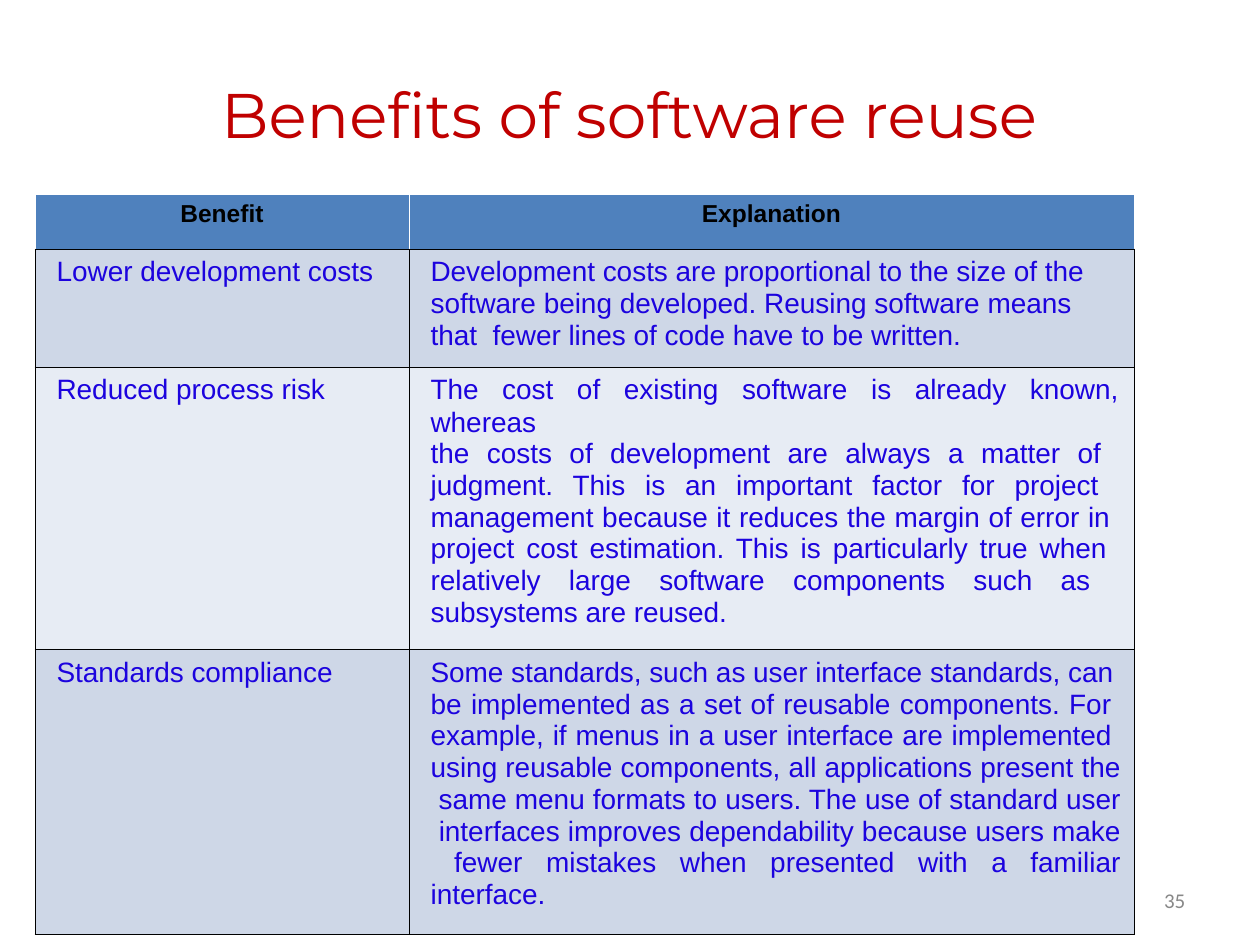
from lxml.etree import SubElement
from pptx import Presentation
from pptx.dml.color import RGBColor
from pptx.enum.text import PP_ALIGN as Align
from pptx.oxml.ns import qn
from pptx.util import Emu, Pt

EMU_PER_PX = 914400 / 126
SLIDE_SIZE = (1260, 945)

RED = RGBColor(0xC0, 0x00, 0x00)
GRAY = RGBColor(0x88, 0x88, 0x88)
BLACK = RGBColor(0x00, 0x00, 0x00)
WHITE = RGBColor(0xFF, 0xFF, 0xFF)
BLUE = RGBColor(0x1C, 0x03, 0xDE)
HEADER_FILL = RGBColor(0x4F, 0x81, 0xBD)
BAND_FILLS = (RGBColor(0xCE, 0xD7, 0xE7), RGBColor(0xE7, 0xEC, 0xF4))

TITLE = "Benefits of software reuse"
PAGE_NUMBER = "35"
HEADERS = ("Benefit", "Explanation")
# Benefit, paragraphs of its explanation, alignment and right inset of the explanation
BENEFITS = [
    ("Lower development costs",
     ["Development costs are proportional to the size of the",
      "software being developed. Reusing software means that  fewer lines of "
      "code have to be written."],
     Align.LEFT, 13),
    ("Reduced process risk",
     ["The cost of existing software is already known, whereas",
      "the costs of development are always a matter of  judgment. This is an "
      "important factor for project  management because it reduces the margin "
      "of error in  project cost estimation. This is particularly true when  "
      "relatively large software components such as  subsystems are reused."],
     Align.JUSTIFY, 15),
    ("Standards compliance",
     ["Some standards, such as user interface standards, can",
      "be implemented as a set of reusable components. For  example, if menus "
      "in a user interface are implemented  using reusable components, all "
      "applications present the  same menu formats to users. The use of "
      "standard user  interfaces improves dependability because users make  "
      "fewer mistakes when presented with a familiar interface."],
     Align.JUSTIFY, 13),
]

TABLE_LEFT, TABLE_TOP = 35, 194
COLUMN_WIDTHS = (374, 725)
ROW_HEIGHTS = (55, 118, 262, 262)
TEXT_INDENT = 9
CELL_INSET = 13
BORDER_WIDTH = Pt(0.45)
FIRST_LINE, OTHER_LINES = Pt(18.5), 1.02


def px(length):
    return Emu(round(length * EMU_PER_PX))


def add_run(paragraph, text, size, font, color, bold=False):
    run = paragraph.add_run()
    run.text = text
    run.font.size = Pt(size)
    run.font.name = font
    run.font.bold = bold
    run.font.color.rgb = color


def indent(paragraph, left):
    properties = paragraph._p.get_or_add_pPr()
    properties.set("marL", str(px(left)))
    properties.set("indent", "0")


def add_text(slide, box, text, size, font, color, align=Align.LEFT,
             top_inset=0, left=0, line_spacing=None):
    shape = slide.shapes.add_textbox(*map(px, box))
    frame = shape.text_frame
    frame.word_wrap = True
    frame.margin_left = frame.margin_right = frame.margin_bottom = 0
    frame.margin_top = px(top_inset)
    paragraph = frame.paragraphs[0]
    indent(paragraph, left)
    paragraph.alignment = align
    paragraph.line_spacing = line_spacing
    add_run(paragraph, text, size, font, color)


def style_cell(cell, fill, side_color, bottom_color=BLACK):
    """Set the cell's fill and borders; the left, right and top share a colour."""
    properties = cell._tc.get_or_add_tcPr()
    colors = {"L": side_color, "R": side_color, "T": side_color, "B": bottom_color}
    for side, color in colors.items():
        line = SubElement(properties, qn(f"a:ln{side}"), w=str(BORDER_WIDTH))
        SubElement(SubElement(line, qn("a:solidFill")), qn("a:srgbClr"), val=str(color))
    cell.fill.solid()
    cell.fill.fore_color.rgb = fill


def fill_header(cell, text):
    style_cell(cell, HEADER_FILL, WHITE)
    paragraph = cell.text_frame.paragraphs[0]
    paragraph.alignment = Align.CENTER
    add_run(paragraph, text, 14, "Arial", BLACK, bold=True)


def fill_body(cell, texts, fill, align=Align.LEFT, right_inset=CELL_INSET):
    style_cell(cell, fill, BLACK)
    cell.margin_right = px(right_inset)
    frame = cell.text_frame
    for index, text in enumerate(texts):
        paragraph = frame.add_paragraph() if index else frame.paragraphs[0]
        indent(paragraph, TEXT_INDENT)
        paragraph.alignment = align
        paragraph.line_spacing = OTHER_LINES if index else FIRST_LINE
        add_run(paragraph, text, 16, "Arial", BLUE)


def add_benefits_table(slide):
    table = slide.shapes.add_table(
        len(ROW_HEIGHTS), len(COLUMN_WIDTHS), px(TABLE_LEFT), px(TABLE_TOP),
        px(sum(COLUMN_WIDTHS)), px(sum(ROW_HEIGHTS))).table
    table.horz_banding = False
    for column, width in zip(table.columns, COLUMN_WIDTHS):
        column.width = px(width)
    for row, height in zip(table.rows, ROW_HEIGHTS):
        row.height = px(height)
    for column, text in enumerate(HEADERS):
        fill_header(table.cell(0, column), text)
    for index, (benefit, explanation, align, right_inset) in enumerate(BENEFITS):
        fill = BAND_FILLS[index % 2]
        fill_body(table.cell(index + 1, 0), [benefit], fill)
        fill_body(table.cell(index + 1, 1), explanation, fill, align, right_inset)


def main():
    presentation = Presentation()
    presentation.slide_width, presentation.slide_height = map(px, SLIDE_SIZE)
    slide = presentation.slides.add_slide(presentation.slide_layouts[6])
    add_text(slide, (1159, 891, 32, 21), PAGE_NUMBER, 12, "Calibri", GRAY,
             left=5, line_spacing=Pt(12.4))
    add_text(slide, (171, 74, 915, 79), TITLE, 36, "Montserrat", RED,
             align=Align.CENTER, top_inset=1, left=1)
    add_benefits_table(slide)
    presentation.save("out.pptx")


if __name__ == "__main__":
    main()
